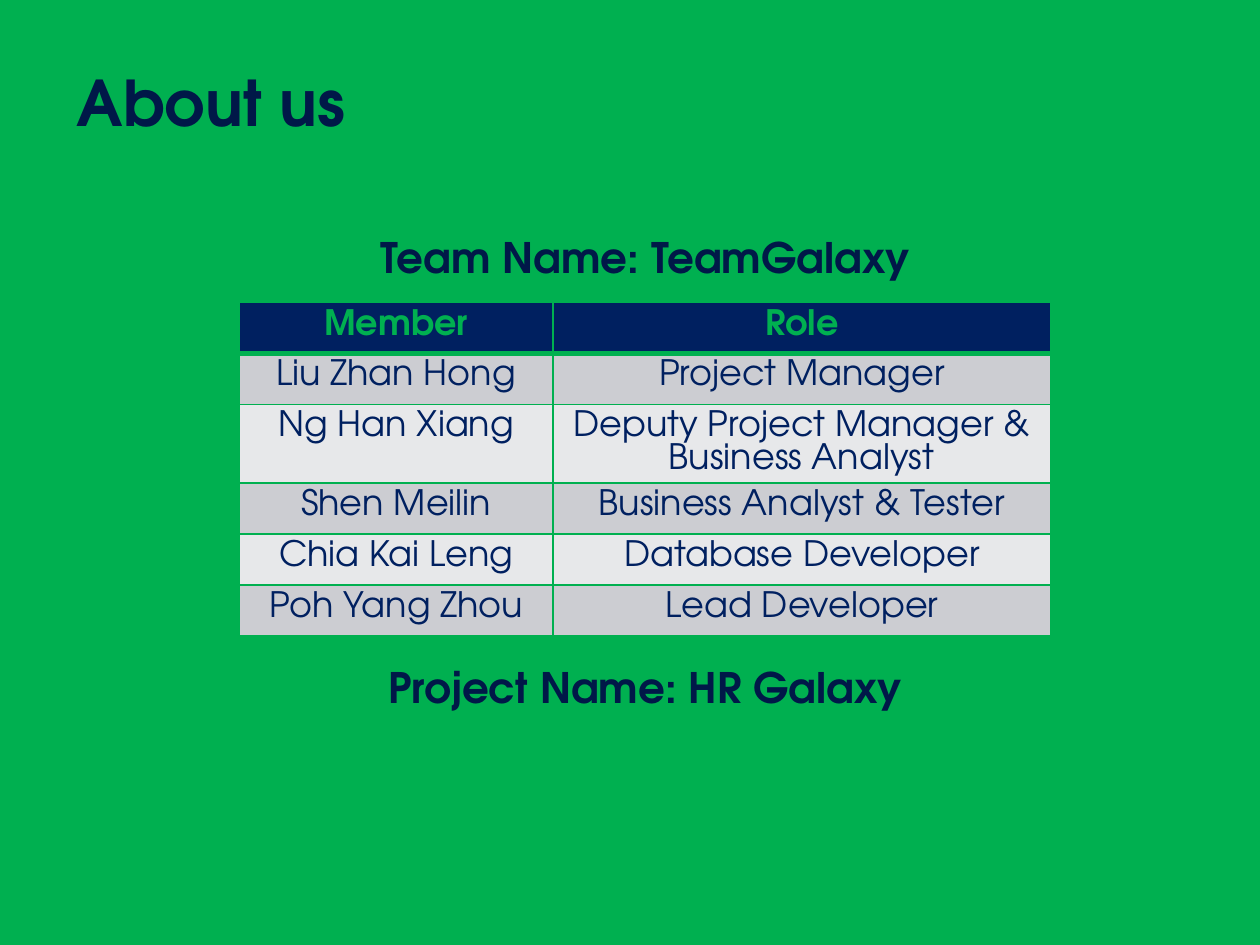
from lxml.etree import SubElement
from pptx import Presentation
from pptx.dml.color import RGBColor
from pptx.enum.text import MSO_ANCHOR, PP_ALIGN
from pptx.oxml.ns import qn
from pptx.util import Inches, Pt

FONT = "TeX Gyre Adventor"
GREEN, NAVY, INK = "00B050", "002060", "001848"
BANDS = ("CCCDD2", "E7E8EA")
COLUMNS = (2.49, 3.95)
ROW, TALL_ROW = 0.405, 0.62
TEAM = [
    ("Member", "Role"),
    ("Liu Zhan Hong", "Project Manager"),
    ("Ng Han Xiang", "Deputy Project Manager & Business Analyst"),
    ("Shen Meilin", "Business Analyst & Tester"),
    ("Chia Kai Leng", "Database Developer"),
    ("Poh Yang Zhou", "Lead Developer"),
]


def rgb(value):
    return RGBColor.from_string(value)


def place(sp, left, top, width, height):
    sp.left, sp.top = Inches(left), Inches(top)
    sp.width, sp.height = Inches(width), Inches(height)


def write(p, text, size, color, bold, align=PP_ALIGN.CENTER, spacing=None):
    p.alignment = align
    if spacing:
        p.line_spacing = Pt(spacing)
    r = p.add_run()
    r.text = text
    font = r.font
    font.name, font.size, font.bold = FONT, Pt(size), bold
    font.color.rgb = rgb(color)


def set_borders(cell, bottom):
    """Draw green lines around a cell; they must come before its fill."""
    props = cell._tc.get_or_add_tcPr()
    for side, points in (("L", 1), ("R", 1), ("T", 1), ("B", bottom)):
        line = SubElement(props, qn(f"a:ln{side}"), w=str(Pt(points)))
        fill = SubElement(line, qn("a:solidFill"))
        SubElement(fill, qn("a:srgbClr"), val=GREEN)


def add_title(slide, text):
    title = slide.shapes.title
    place(title, 0.51, 0.45, 9, 0.7)
    tf = title.text_frame
    tf.vertical_anchor = MSO_ANCHOR.MIDDLE
    write(tf.paragraphs[0], text, 36, INK, True, PP_ALIGN.LEFT)


def add_names(slide, team, project):
    sp = slide.shapes.add_textbox(0, 0, 0, 0)
    place(sp, 0.58, 1.83, 9.08, 4.95)
    tf = sp.text_frame
    tf.word_wrap = True
    write(tf.paragraphs[0], team, 24, INK, True, spacing=26)
    # The space between the two lines leaves room for the table
    p = tf.add_paragraph()
    p.space_before = Pt(219.7)
    write(p, project, 24, INK, True, spacing=26)


def add_team_table(slide, rows):
    frame = slide.shapes.add_table(
        len(rows), len(COLUMNS), Inches(1.9), Inches(2.4),
        Inches(sum(COLUMNS)), Inches(ROW * len(rows)))
    table = frame.table
    for column, width in zip(table.columns, COLUMNS):
        column.width = Inches(width)
    for i, texts in enumerate(rows):
        header = i == 0
        wraps = max(map(len, texts)) > 30
        table.rows[i].height = Inches(TALL_ROW if wraps else ROW)
        for cell, text in zip(table.rows[i].cells, texts):
            set_borders(cell, 3 if header else 1)
            cell.fill.solid()
            cell.fill.fore_color.rgb = rgb(NAVY if header else BANDS[(i - 1) % 2])
            write(cell.text_frame.paragraphs[0], text, 20,
                  GREEN if header else NAVY, header, spacing=18.8)


def main():
    prs = Presentation()
    prs.slide_width, prs.slide_height = Inches(10), Inches(7.5)
    slide = prs.slides.add_slide(prs.slide_layouts[5])
    slide.background.fill.solid()
    slide.background.fill.fore_color.rgb = rgb(GREEN)

    add_names(slide, "Team Name: TeamGalaxy", "Project Name: HR Galaxy")
    add_title(slide, "About us")
    add_team_table(slide, TEAM)
    prs.save("out.pptx")


if __name__ == "__main__":
    main()
